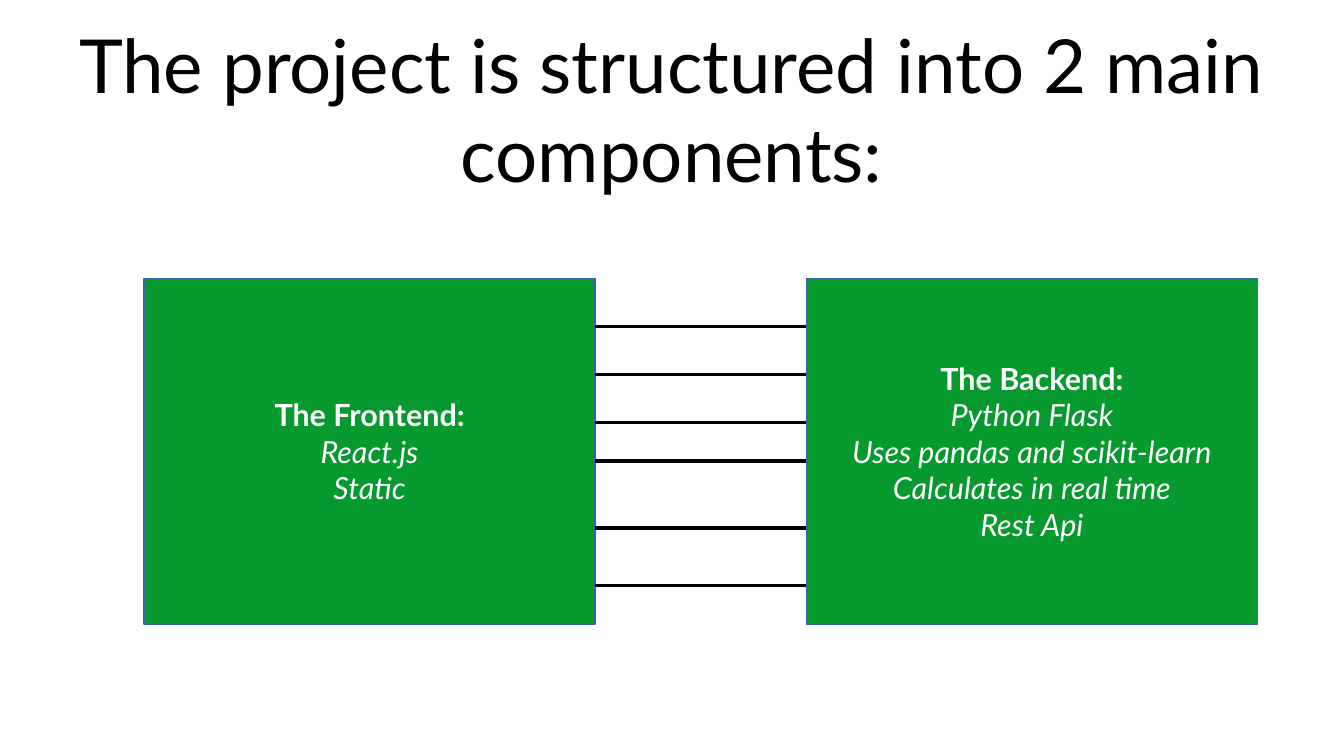
import dataclasses

import pptx
import pptx.dml.color
import pptx.enum.shapes
import pptx.enum.text
import pptx.oxml.xmlchemy
import pptx.util
from lxml import etree
from pptx.oxml.ns import qn
from pptx.util import Cm


@dataclasses.dataclass(frozen=True)
class Theme:
    font: str = "Lato"
    title_size: int = 44
    body_size: int = 18
    ink: str = "000000"
    light: str = "FFFFFF"
    panel: str = "069A2E"
    outline: str = "3465A4"


THEME = Theme()
PANEL_WIDTH, PANEL_HEIGHT = Cm(9.4), Cm(7.2)
PANEL_TOP = Cm(5.8)
FRONTEND_LEFT, BACKEND_LEFT = Cm(3), Cm(16.8)
LINK_OFFSETS = (1, 2, 3, 3.8, 5.2, 6.4)


def color(value):
    return pptx.dml.color.RGBColor.from_string(value)


def add_span(para, text, size, ink, bold=False, italic=False):
    para.alignment = pptx.enum.text.PP_ALIGN.CENTER
    span = para.add_run()
    span.text = text
    span.font.name = THEME.font
    span.font.size = pptx.util.Pt(size)
    span.font.bold = bold
    span.font.italic = italic
    span.font.color.rgb = color(ink)


def add_title(page, left, top, width, height, text):
    frame = page.shapes.add_textbox(left, top, width, height).text_frame
    frame.word_wrap = True
    frame.vertical_anchor = pptx.enum.text.MSO_ANCHOR.MIDDLE
    frame.margin_left = frame.margin_right = 0
    frame.margin_top = frame.margin_bottom = 0
    add_span(frame.paragraphs[0], text, THEME.title_size, THEME.ink)


def add_panel(page, left, top, width, height, heading, details):
    panel = page.shapes.add_shape(
        pptx.enum.shapes.MSO_SHAPE.RECTANGLE, left, top, width, height)
    panel.shadow.inherit = False
    panel.fill.solid()
    panel.fill.fore_color.rgb = color(THEME.panel)
    panel.line.color.rgb = color(THEME.outline)
    panel.line.width = 0
    frame = panel.text_frame
    frame.word_wrap = False
    frame.vertical_anchor = pptx.enum.text.MSO_ANCHOR.MIDDLE
    add_span(frame.paragraphs[0], heading, THEME.body_size, THEME.light, bold=True)
    for detail in details:
        add_span(frame.add_paragraph(), detail, THEME.body_size, THEME.light, italic=True)


def add_links(page, left, top, width, offsets):
    for offset in offsets:
        height = top + Cm(offset)
        link = page.shapes.add_connector(
            pptx.enum.shapes.MSO_CONNECTOR.STRAIGHT, left, height, left + width, height)
        link.line.color.rgb = color(THEME.ink)
        link.line.width = 0
        etree.SubElement(link._element.spPr, qn("a:effectLst"))


def main():
    deck = pptx.Presentation()
    deck.slide_width, deck.slide_height = Cm(28), Cm(15.75)
    page = deck.slides.add_slide(deck.slide_layouts[6])
    add_title(page, Cm(1.4), Cm(0.13), Cm(25.2), Cm(4.24),
              "The project is structured into 2 main components:")
    add_panel(page, FRONTEND_LEFT, PANEL_TOP, PANEL_WIDTH, PANEL_HEIGHT,
              "The Frontend:", ("React.js", "Static"))
    add_panel(page, BACKEND_LEFT, PANEL_TOP, PANEL_WIDTH, PANEL_HEIGHT,
              "The Backend:",
              ("Python Flask", "Uses pandas and scikit-learn",
               "Calculates in real time", "Rest Api"))
    frontend_right = FRONTEND_LEFT + PANEL_WIDTH
    add_links(page, frontend_right, PANEL_TOP, BACKEND_LEFT - frontend_right, LINK_OFFSETS)
    deck.save("out.pptx")


if __name__ == "__main__":
    main()
